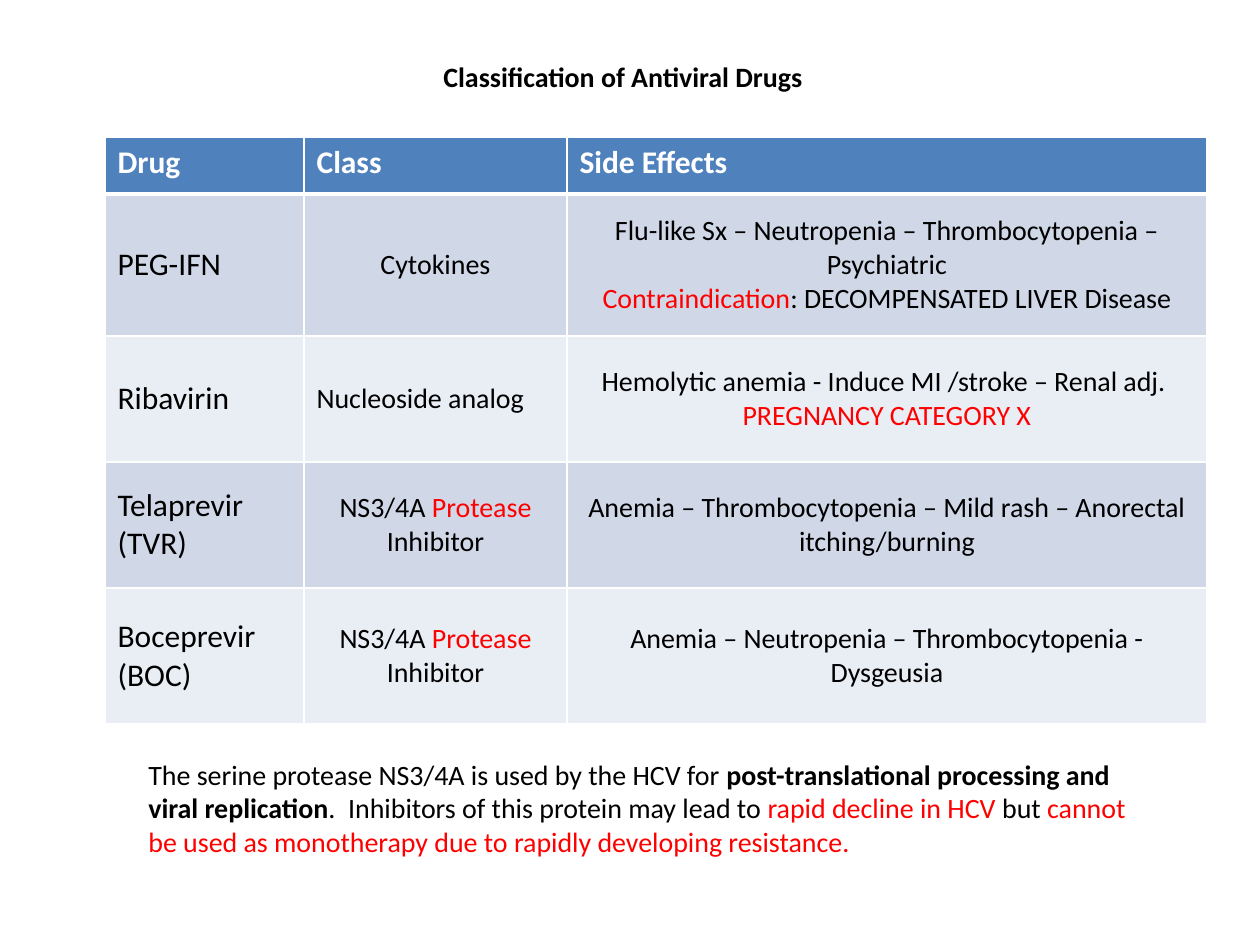
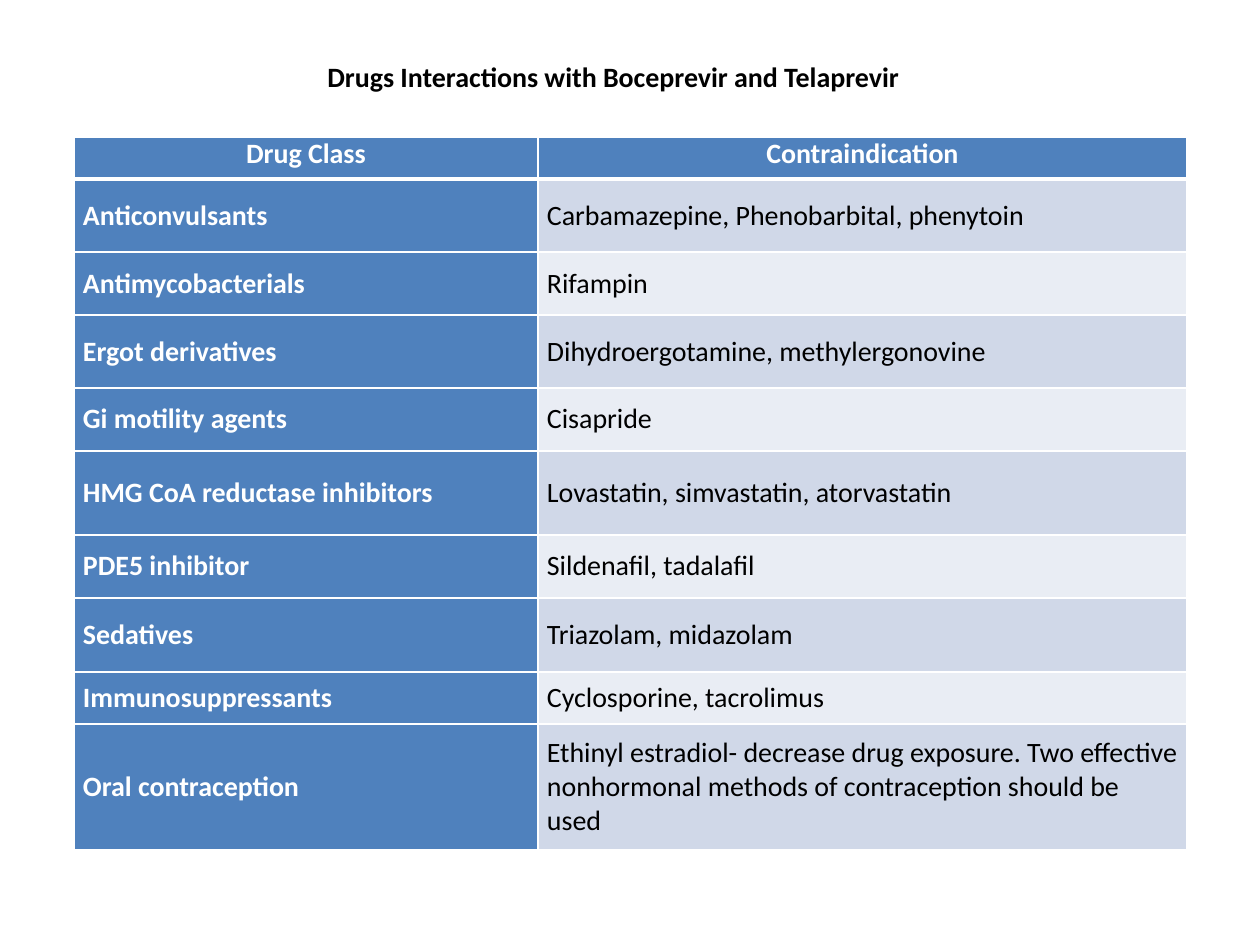
from dataclasses import dataclass

from pptx import Presentation
from pptx import util as u
from pptx.dml.color import RGBColor
from pptx.enum import text as t
from pptx.oxml import parse_xml
from pptx.oxml.ns import nsdecls

PX_PER_INCH = 126


@dataclass(frozen=True)
class Theme:
    font: str = "Calibri"
    ink: str = "000000"
    paper: str = "FFFFFF"
    alert: str = "FF0000"
    header: str = "4F81BD"
    bands: tuple = ("D0D8E8", "E9EDF4")
    body_size: int = 16
    large_size: int = 18
    rule: int = 1
    header_rule: int = 3


@dataclass(frozen=True)
class Run:
    text: str
    color: str = None
    bold: bool = None


THEME = Theme()
LEFT, CENTER = t.PP_ALIGN.LEFT, t.PP_ALIGN.CENTER
TITLE_TOP, TITLE_HEIGHT, TABLE_TOP = 53, 47, 137


def px(length):
    return u.Emu(round(length * u.Inches(1) / PX_PER_INCH))


def red(text):
    return Run(text, color=THEME.alert)


def write_text(frame, paragraphs, size=THEME.body_size, color=THEME.ink, bold=False, align=LEFT):
    if isinstance(paragraphs, str):
        paragraphs = [[paragraphs]]
    for index, runs in enumerate(paragraphs):
        paragraph = frame.paragraphs[0] if index == 0 else frame.add_paragraph()
        paragraph.alignment = align
        for item in runs:
            part = Run(item) if isinstance(item, str) else item
            run = paragraph.add_run()
            run.text = part.text
            run.font.name = THEME.font
            run.font.size = u.Pt(size)
            run.font.bold = bold if part.bold is None else part.bold
            run.font.color.rgb = RGBColor.from_string(part.color or color)


def add_text(slide, paragraphs, left, top, width, height, **text_format):
    frame = slide.shapes.add_textbox(px(left), px(top), px(width), px(height)).text_frame
    frame.word_wrap = True
    frame.auto_size = t.MSO_AUTO_SIZE.SHAPE_TO_FIT_TEXT
    write_text(frame, paragraphs, **text_format)


def add_title(slide, title, left, width):
    add_text(slide, title, left, TITLE_TOP, width, TITLE_HEIGHT, bold=True)


def set_borders(cell, top, bottom):
    properties = cell._tc.get_or_add_tcPr()
    widths = {"L": THEME.rule, "R": THEME.rule, "T": top, "B": bottom}
    for index, (side, width) in enumerate(widths.items()):
        properties.insert(index, parse_xml(
            f'<a:ln{side} {nsdecls("a")} w="{u.Pt(width)}"><a:solidFill>'
            f'<a:srgbClr val="{THEME.paper}"/></a:solidFill></a:ln{side}>'))


def add_table(slide, left, column_widths, row_heights):
    shape = slide.shapes.add_table(
        len(row_heights), len(column_widths), px(left), px(TABLE_TOP),
        px(sum(column_widths)), px(sum(row_heights)))
    table = shape.table
    for column, width in zip(table.columns, column_widths):
        column.width = px(width)
    for row, height in zip(table.rows, row_heights):
        row.height = px(height)
    return table


def fill_cell(table, row, column, paragraphs, heading=False, inset=None, **text_format):
    cell = table.cell(row, column)
    cell.fill.solid()
    fill = THEME.header if heading else THEME.bands[(row - 1) % 2]
    cell.fill.fore_color.rgb = RGBColor.from_string(fill)
    set_borders(cell,
                THEME.header_rule if row == 1 else THEME.rule,
                THEME.header_rule if row == 0 else THEME.rule)
    cell.vertical_anchor = t.MSO_ANCHOR.MIDDLE if row else t.MSO_ANCHOR.TOP
    if inset is not None:
        cell.margin_left = cell.margin_right = px(inset)
        cell.margin_top = cell.margin_bottom = 0
    write_text(cell.text_frame, paragraphs, bold=heading,
               color=THEME.paper if heading else THEME.ink, **text_format)


def build_classification(slide):
    add_title(slide, "Classification of Antiviral Drugs", 431, 410)
    protease_inhibitor = [["NS3/4A ", red("Protease "), "Inhibitor"]]
    drugs = [
        ("PEG-IFN", "Cytokines",
         [["Flu-like Sx – Neutropenia – Thrombocytopenia – Psychiatric"],
          [red("Contraindication"), ": DECOMPENSATED LIVER Disease"]]),
        ("Ribavirin", "Nucleoside analog",
         [["Hemolytic anemia - Induce MI /stroke – Renal adj. "],
          [red("PREGNANCY CATEGORY X")]]),
        ([["Telaprevir"], ["(TVR)"]], protease_inhibitor,
         "Anemia – Thrombocytopenia – Mild rash – Anorectal itching/burning"),
        ([["Boceprevir"], ["(BOC)"]], protease_inhibitor,
         "Anemia – Neutropenia – Thrombocytopenia - Dysgeusia"),
    ]
    table = add_table(slide, 105, [199, 263, 640], [57, 142, 126, 126, 136])
    for column, heading in enumerate(("Drug", "Class", "Side Effects")):
        fill_cell(table, 0, column, heading, heading=True, size=THEME.large_size)
    for row, (drug, drug_class, side_effects) in enumerate(drugs, 1):
        class_align = LEFT if drug == "Ribavirin" else CENTER
        fill_cell(table, row, 0, drug, size=THEME.large_size)
        fill_cell(table, row, 1, drug_class, align=class_align)
        fill_cell(table, row, 2, side_effects, align=CENTER)
    add_text(slide, [[
        "The serine protease NS3/4A is used by the HCV for ",
        Run("post-translational processing and viral replication", bold=True),
        ".  Inhibitors of this protein may lead to ",
        red("rapid decline in HCV"),
        " but ",
        red("cannot be used as monotherapy due to rapidly developing resistance."),
    ]], 136, 751, 1018, 115)


def build_interactions(slide):
    add_title(slide, "Drugs Interactions with Boceprevir and Telaprevir", 315, 630)
    interactions = [
        ("Drug Class", "Contraindication"),
        ("Anticonvulsants", "Carbamazepine, Phenobarbital, phenytoin"),
        ("Antimycobacterials", "Rifampin"),
        ("Ergot derivatives", "Dihydroergotamine, methylergonovine"),
        ("Gi motility agents", "Cisapride"),
        ("HMG CoA reductase inhibitors", "Lovastatin, simvastatin, atorvastatin"),
        ("PDE5 inhibitor", "Sildenafil, tadalafil"),
        ("Sedatives", "Triazolam, midazolam"),
        ("Immunosuppressants", "Cyclosporine, tacrolimus"),
        ("Oral contraception",
         "Ethinyl estradiol- decrease drug exposure. Two effective nonhormonal "
         "methods of contraception should be used"),
    ]
    table = add_table(slide, 74, [464, 649], [42, 73, 63, 73, 63, 84, 63, 74, 52, 126])
    for row, entries in enumerate(interactions):
        for column, entry in enumerate(entries):
            fill_cell(table, row, column, entry, heading=row == 0 or column == 0,
                      inset=9, align=LEFT if row else CENTER)


def main():
    presentation = Presentation()
    presentation.slide_width, presentation.slide_height = px(1260), px(945)
    blank = presentation.slide_layouts[6]
    for build in (build_classification, build_interactions):
        build(presentation.slides.add_slide(blank))
    presentation.save("out.pptx")


if __name__ == "__main__":
    main()
